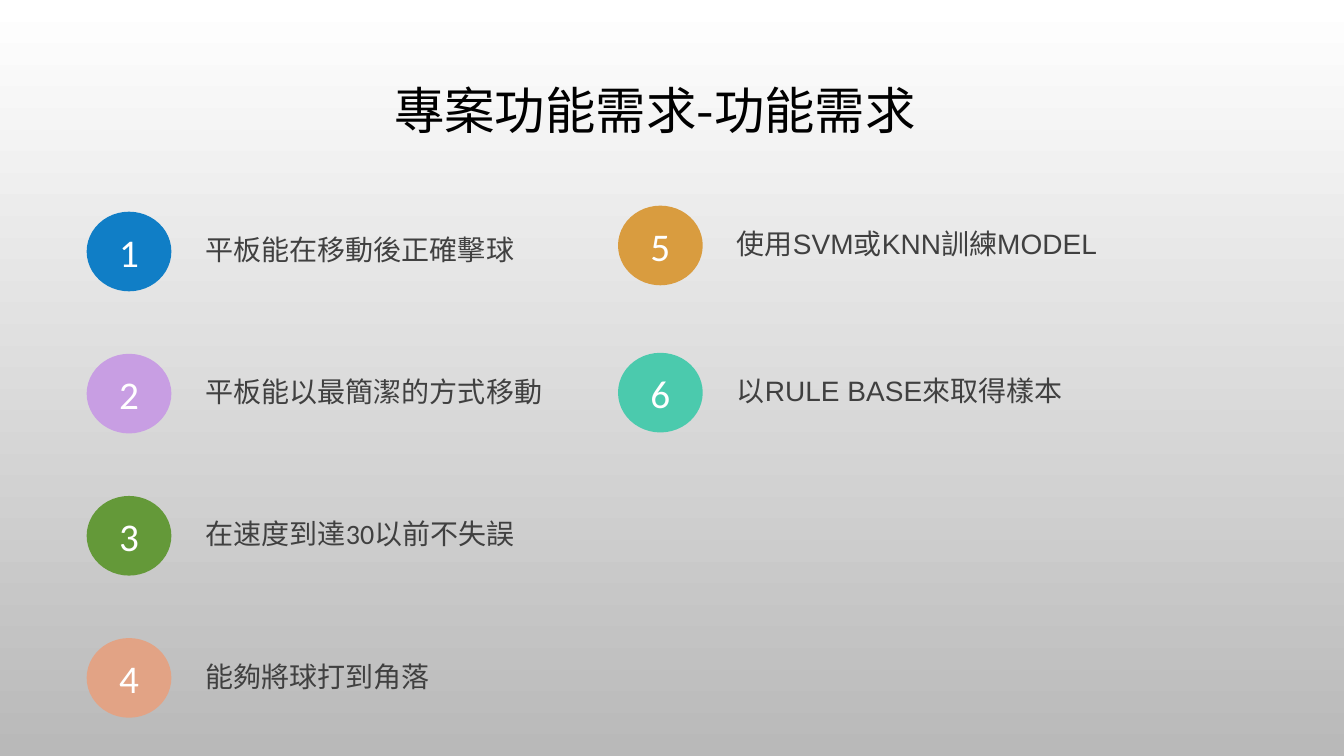
from dataclasses import dataclass

from lxml import etree
from pptx import Presentation
from pptx.dml.color import RGBColor
from pptx.enum.shapes import MSO_SHAPE
from pptx.enum.text import MSO_ANCHOR, PP_ALIGN
from pptx.oxml.ns import qn
from pptx.util import Inches, Pt

OVAL = MSO_SHAPE.OVAL
MIDDLE, TOP = MSO_ANCHOR.MIDDLE, MSO_ANCHOR.TOP
CENTER, LEFT = PP_ALIGN.CENTER, PP_ALIGN.LEFT


@dataclass(frozen=True)
class Theme:
    """Colours, fonts and type sizes of the slide."""
    backdrop: tuple = ("FFFFFF", "B9B9B9")
    title_ink: str = "000000"
    label_ink: str = "404040"
    badge_ink: str = "FFFFFF"
    title_size: int = 36
    badge_size: int = 28
    label_size: int = 20
    chinese: str = "Noto Sans CJK TC"
    body: str = "Calibri"
    latin: str = "Arial"


THEME = Theme()
SLIDE_SIZE = (13.33, 7.5)
TITLE = "專案功能需求-功能需求"
TITLE_BOX = (0.97, 0.73, 11.05, 0.79)
BADGE_SIZE = (0.84, 0.79)
LABEL_SIZE = (5.63, 0.44)
LABEL_OFFSET = (1.08, 0.16)
COLUMNS = (
    dict(left=0.86, top=2.1, pitch=1.41, first=1, font=THEME.body, needs=(
        ("平板能在移動後正確擊球", "107EC6"),
        ("平板能以最簡潔的方式移動", "C89EE3"),
        ("在速度到達30以前不失誤", "649939"),
        ("能夠將球打到角落", "E2A385"),
    )),
    dict(left=6.13, top=2.04, pitch=1.46, first=5, font=THEME.latin, needs=(
        ("使用SVM或KNN訓練MODEL", "D99C3F"),
        ("以RULE BASE來取得樣本", "4BCAAD"),
    )),
)


def inches(box):
    """Convert a box in inches to slide lengths."""
    return [Inches(length) for length in box]


def write(holder, text, font, size, ink, align=LEFT, anchor=TOP, spacing=1.0):
    """Fill a shape with one formatted paragraph."""
    frame = holder.text_frame
    frame.word_wrap = True
    frame.vertical_anchor = anchor
    paragraph = frame.paragraphs[0]
    paragraph.alignment = align
    paragraph.line_spacing = spacing
    run = paragraph.add_run()
    run.text = text
    formats = dict(name=font, size=Pt(size))
    for attribute, value in formats.items():
        setattr(run.font, attribute, value)
    run.font.color.rgb = RGBColor.from_string(ink)
    east_asian = etree.Element(qn("a:ea"), typeface=THEME.chinese)
    run.font._element.find(qn("a:latin")).addnext(east_asian)


def paint_background(slide):
    """Shade the slide from top to bottom."""
    fill = slide.background.fill
    fill.gradient()
    fill.gradient_angle = 270
    for stop, shade in zip(fill.gradient_stops, THEME.backdrop):
        stop.color.rgb = RGBColor.from_string(shade)


def add_title(slide, box):
    """Place the centred heading in its box."""
    heading = slide.shapes.add_textbox(*inches(box))
    write(heading, TITLE, THEME.chinese, THEME.title_size, THEME.title_ink,
          CENTER, MIDDLE, 0.9)


def add_need(slide, left, top, number, need, shade, font):
    """Place a numbered badge and its requirement beside it."""
    badge = slide.shapes.add_shape(OVAL, *inches((left, top, *BADGE_SIZE)))
    badge.shadow.inherit = False
    badge.fill.solid()
    badge.fill.fore_color.rgb = RGBColor.from_string(shade)
    badge.line.fill.background()
    write(badge, str(number), THEME.body, THEME.badge_size, THEME.badge_ink,
          CENTER, MIDDLE)
    right, down = LABEL_OFFSET
    label = slide.shapes.add_textbox(
        *inches((left + right, top + down, *LABEL_SIZE)))
    write(label, need, font, THEME.label_size, THEME.label_ink)


def add_column(slide, left, top, pitch, first, font, needs):
    """Stack requirements at an even pitch."""
    for row, (need, shade) in enumerate(needs):
        add_need(slide, left, top + row * pitch, first + row, need, shade, font)


def main():
    """Build and save the slide."""
    deck = Presentation()
    deck.slide_width, deck.slide_height = inches(SLIDE_SIZE)
    slide = deck.slides.add_slide(deck.slide_layouts[6])
    paint_background(slide)
    add_title(slide, TITLE_BOX)
    for column in COLUMNS:
        add_column(slide, **column)
    deck.save("out.pptx")


if __name__ == "__main__":
    main()
